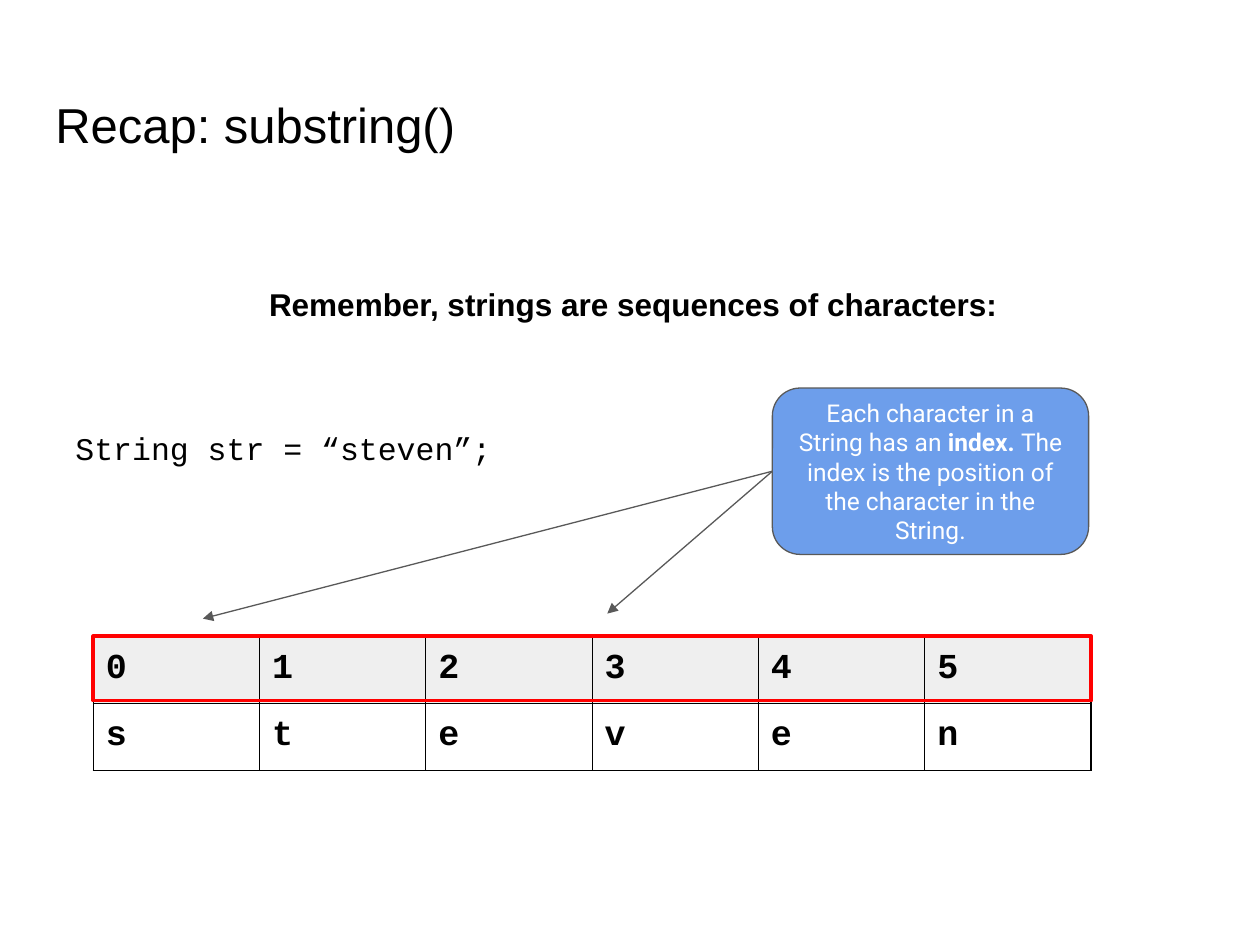
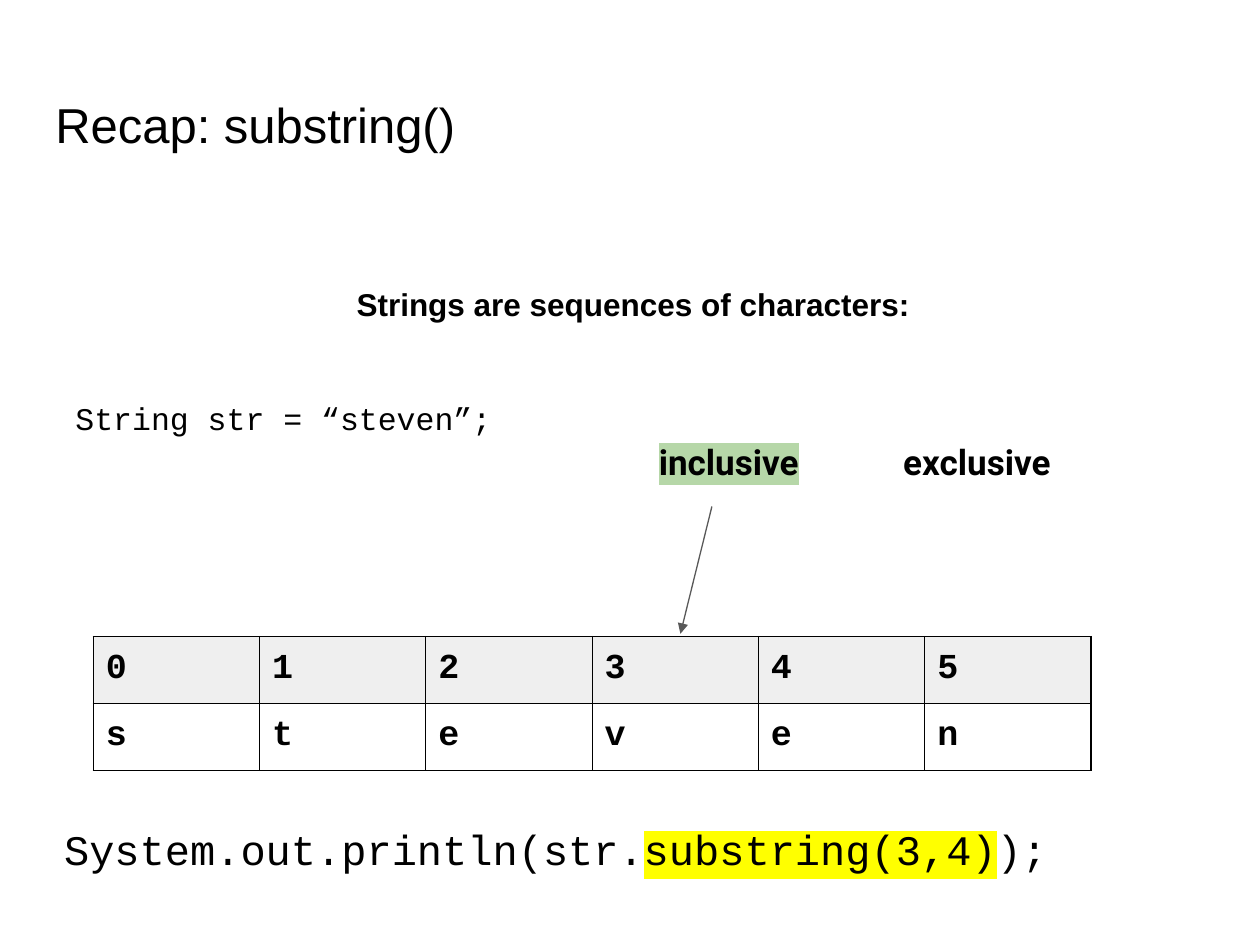
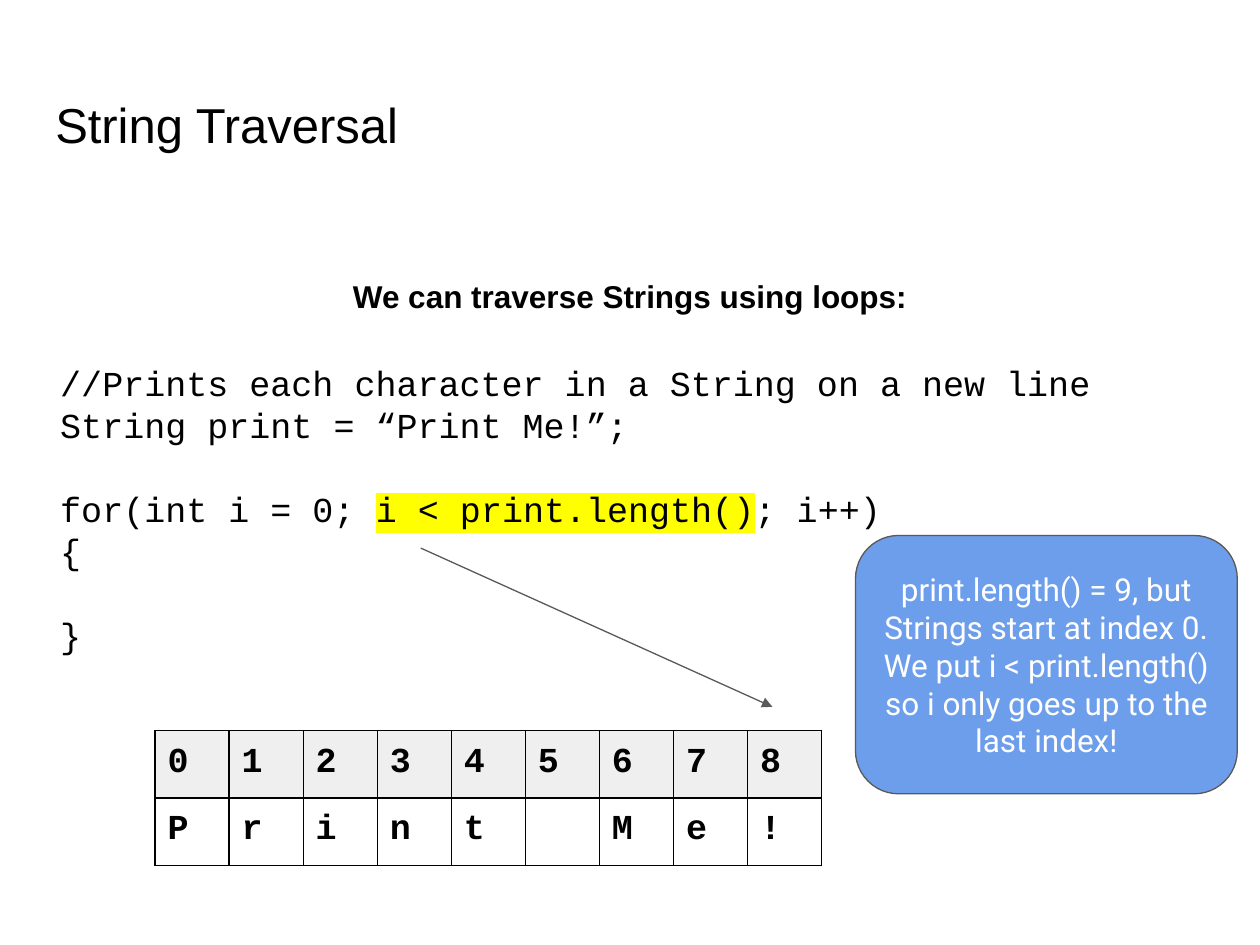
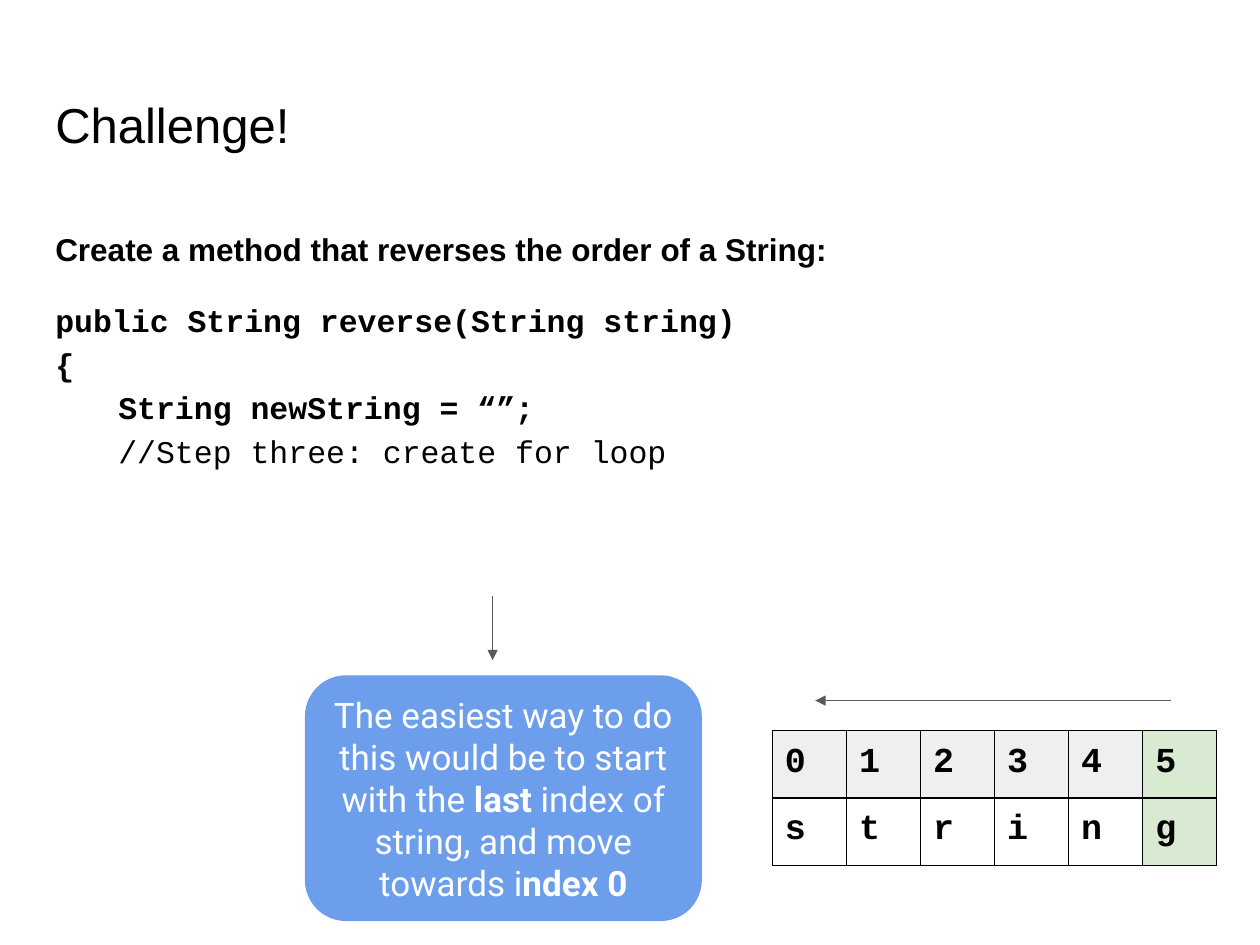
from dataclasses import dataclass
from typing import NamedTuple, Optional

from lxml.etree import SubElement
from pptx import Presentation
from pptx.dml.color import RGBColor
from pptx.enum.shapes import MSO_CONNECTOR, MSO_SHAPE
from pptx.enum.text import MSO_ANCHOR, PP_ALIGN
from pptx.oxml.ns import qn
from pptx.util import Inches, Pt

# Shared look: the page is a grid of 100 columns by 75 rows
PAGE_WIDTH, PAGE_HEIGHT = Inches(10), Inches(7.5)
COLUMN, ROW = PAGE_WIDTH / 100, PAGE_HEIGHT / 75
PADDING = Inches(0.1)
HAIRLINE = Pt(0.75)
COLORS = {
    "ink": "000000",
    "paper": "FFFFFF",
    "callout": "6D9EEB",
    "line": "595959",
    "index": "EFEFEF",
    "last": "D9EAD3",
    "frame": "FF0000",
    "yellow": "FFFF00",
    "green": "B6D7A8",
}


class Frame(NamedTuple):
    left: float
    top: float
    width: float
    height: float


class Point(NamedTuple):
    column: float
    row: float


class Style(NamedTuple):
    font: str
    size: int
    bold: bool = False
    color: str = "ink"


class Span(NamedTuple):
    text: str
    bold: Optional[bool] = None
    mark: Optional[str] = None


@dataclass(frozen=True)
class Para:
    spans: tuple[Span, ...]
    style: Style
    align: PP_ALIGN = PP_ALIGN.LEFT
    spacing: float = 1.0
    before: float = 0
    indent: float = 0


@dataclass(frozen=True)
class CharTable:
    word: str
    left: float
    top: float
    column_width: float
    row_height: float
    marked: Optional[int] = None


TITLE = Style("Arial", 28)
HEADING = Style("Arial", 18, bold=True)
CODE = Style("Courier New", 18)
BOLD_CODE = Style("Courier New", 18, bold=True)
LARGE_CODE = Style("Courier New", 20)
OUTPUT_CODE = Style("Courier New", 24)
CELL = Style("Courier New", 20, bold=True)
LABEL = Style("Roboto", 20, bold=True)

TITLE_FRAME = Frame(3.4, 6.5, 93.2, 8.3)
BODY_FRAME = Frame(5, 21.2, 90.5, 49.9)
STEVEN = CharTable("steven", 7.4, 50.5, 13.2, 4.2)


def rgb(name: str) -> RGBColor:
    return RGBColor.from_string(COLORS[name])


def place(frame: Frame) -> tuple[int, int, int, int]:
    return (round(frame.left * COLUMN), round(frame.top * ROW),
            round(frame.width * COLUMN), round(frame.height * ROW))


def line_para(text: str, style: Style, **options) -> Para:
    return Para((Span(text),), style, **options)


def heading_para(text: str, align: PP_ALIGN = PP_ALIGN.CENTER) -> Para:
    return line_para(text, HEADING, align=align, spacing=1.15)


def write(text_frame, paras: list[Para]) -> None:
    text_frame.word_wrap = True
    text_frame.margin_left = text_frame.margin_right = PADDING
    text_frame.margin_top = text_frame.margin_bottom = PADDING
    for number, para in enumerate(paras):
        paragraph = text_frame.add_paragraph() if number else text_frame.paragraphs[0]
        paragraph.alignment = para.align
        paragraph.line_spacing = para.spacing
        paragraph.space_before = Pt(para.before)
        if para.indent:
            paragraph._p.get_or_add_pPr().set("marL", str(round(para.indent * COLUMN)))
        font = paragraph.font
        font.name, font.size, font.bold = para.style.font, Pt(para.style.size), para.style.bold
        font.color.rgb = rgb(para.style.color)
        for span in para.spans:
            run = paragraph.add_run()
            run.text = span.text
            if span.bold is not None:
                run.font.bold = span.bold
            if span.mark:
                highlight = SubElement(run._r.get_or_add_rPr(), qn("a:highlight"))
                SubElement(highlight, qn("a:srgbClr"), val=COLORS[span.mark])


def add_text(page, frame: Frame, *paras: Para) -> None:
    box = page.shapes.add_textbox(*place(frame))
    write(box.text_frame, list(paras))


def add_callout(page, frame: Frame, size: int, *spans: Span, outlined: bool = True):
    callout = page.shapes.add_shape(MSO_SHAPE.ROUNDED_RECTANGLE, *place(frame))
    callout.shadow.inherit = False
    callout.fill.solid()
    callout.fill.fore_color.rgb = rgb("callout")
    if outlined:
        callout.line.color.rgb = rgb("line")
        callout.line.width = HAIRLINE
    else:
        callout.line.fill.background()
    callout.text_frame.vertical_anchor = MSO_ANCHOR.MIDDLE
    style = Style("Roboto", size, color="paper")
    write(callout.text_frame, [Para(spans, style, PP_ALIGN.CENTER)])
    return callout


def add_arrow(page, start: Point, end: Point, source=None) -> None:
    arrow = page.shapes.add_connector(
        MSO_CONNECTOR.STRAIGHT,
        round(start.column * COLUMN), round(start.row * ROW),
        round(end.column * COLUMN), round(end.row * ROW))
    if source is not None:
        arrow.begin_connect(source, 1)
    arrow.line.color.rgb = rgb("line")
    arrow.line.width = HAIRLINE
    SubElement(arrow.line._get_or_add_ln(), qn("a:tailEnd"), type="triangle")
    SubElement(arrow._element.spPr, qn("a:effectLst"))


def add_borders(cell) -> None:
    properties = cell._tc.get_or_add_tcPr()
    for side in ("lnL", "lnR", "lnT", "lnB"):
        border = SubElement(properties, qn(f"a:{side}"), w=str(HAIRLINE))
        fill = SubElement(border, qn("a:solidFill"))
        SubElement(fill, qn("a:srgbClr"), val=COLORS["ink"])


def add_char_table(page, chars: CharTable) -> None:
    """Indexes in the first row, the characters of the word in the second."""
    count = len(chars.word)
    frame = Frame(chars.left, chars.top, count * chars.column_width, 2 * chars.row_height)
    table = page.shapes.add_table(2, count, *place(frame)).table
    table.first_row = table.horz_banding = False
    for index, character in enumerate(chars.word):
        table.columns[index].width = round(chars.column_width * COLUMN)
        for row, text in enumerate((str(index), character.strip())):
            cell = table.cell(row, index)
            cell.margin_left = cell.margin_right = PADDING
            cell.margin_top = cell.margin_bottom = PADDING
            add_borders(cell)
            if index == chars.marked or row == 0:
                cell.fill.solid()
                cell.fill.fore_color.rgb = rgb("last" if index == chars.marked else "index")
            else:
                cell.fill.background()
            write(cell.text_frame, [line_para(text, CELL) if text else Para((), CELL)])


def add_page(deck, title: str):
    page = deck.slides.add_slide(deck.slide_layouts[6])
    add_text(page, TITLE_FRAME, line_para(title, TITLE))
    return page


def build_index_page(deck) -> None:
    page = add_page(deck, "Recap: substring()")
    add_text(page, BODY_FRAME,
             heading_para("Remember, strings are sequences of characters:"),
             line_para("String str = “steven”;", CODE, spacing=1.15, before=57))
    add_char_table(page, STEVEN)

    # Red frame around the index row
    index_frame = page.shapes.add_shape(
        MSO_SHAPE.RECTANGLE,
        *place(Frame(STEVEN.left, STEVEN.top, 6 * STEVEN.column_width, 5.1)))
    index_frame.shadow.inherit = False
    index_frame.fill.background()
    index_frame.line.color.rgb = rgb("frame")
    index_frame.line.width = Pt(2.25)

    # Callout pointing at two of the indexes
    callout = add_callout(
        page, Frame(61.3, 30.8, 25.1, 13.2), 14,
        Span("Each character in a String has an "),
        Span("index. ", bold=True),
        Span("The index is the position of the character in the String."))
    for target in (Point(16.1, 49.1), Point(48.2, 48.7)):
        add_arrow(page, Point(61.3, 37.4), target, callout)


def build_substring_page(deck) -> None:
    page = add_page(deck, "Recap: substring()")
    add_text(page, BODY_FRAME,
             heading_para("Strings are sequences of characters:"),
             line_para("String str = “steven”;", CODE, spacing=1.15, before=40))
    add_char_table(page, STEVEN)
    add_text(page, Frame(4.1, 63.8, 90.5, 8.3),
             Para((Span("System.out.println(str."),
                   Span("substring(3,4)", mark="yellow"),
                   Span(");")), OUTPUT_CODE, spacing=1.15))

    # Labels of the two arguments
    add_text(page, Frame(51.3, 34, 17.9, 8.3), Para((Span("inclusive", mark="green"),), LABEL))
    add_text(page, Frame(70.7, 34, 15, 8.3), line_para("exclusive", LABEL))
    add_arrow(page, Point(56.5, 40.2), Point(54, 50.3))


def build_traversal_page(deck) -> None:
    page = add_page(deck, "String Traversal")
    add_text(page, Frame(3.4, 20.5, 93.2, 7.2),
             heading_para("We can traverse Strings using loops:"))
    add_text(page, Frame(3.8, 27.7, 92.4, 42.7),
             line_para("//Prints each character in a String on a new line", LARGE_CODE),
             line_para("String print = “Print Me!”;", LARGE_CODE),
             Para((Span("for(int i = 0; "),
                   Span("i < print.length()", mark="yellow"),
                   Span("; i++)")), LARGE_CODE, before=24),
             line_para("{", LARGE_CODE),
             line_para("}", LARGE_CODE, before=24))
    add_arrow(page, Point(33.4, 43.5), Point(61.3, 56.1))
    add_char_table(page, CharTable("Print Me!", 12.3, 58, 5.88, 4.9))
    add_callout(page, Frame(67.9, 42.5, 30.3, 20.5), 18,
                Span("print.length() = 9, but Strings start at index 0. "
                     "We put i < print.length() so i only goes up to the last index!"))


def build_challenge_page(deck) -> None:
    page = add_page(deck, "Challenge!")
    add_text(page, Frame(3.4, 16.8, 93.2, 49.8),
             heading_para("Create a method that reverses the order of a String:", PP_ALIGN.LEFT),
             line_para("public String reverse(String string)", BOLD_CODE,
                       spacing=1.15, before=16),
             line_para("{", BOLD_CODE, spacing=1.15),
             line_para("String newString = “”;", BOLD_CODE, spacing=1.15, indent=5),
             line_para("//Step three: create for loop", CODE, spacing=1.15, indent=5))

    # Hint below the code
    add_arrow(page, Point(39.1, 47.3), Point(39.1, 52.4))
    add_callout(page, Frame(24.2, 53.6, 31.5, 19.5), 20,
                Span("The easiest way to do this would be to start with the "),
                Span("last ", bold=True),
                Span("index of string, and move towards i"),
                Span("ndex 0", bold=True),
                outlined=False)

    # Characters read from the last index back to the first
    add_char_table(page, CharTable("string", 61.3, 58, 5.88, 4.9, marked=5))
    add_arrow(page, Point(92.9, 55.6), Point(64.7, 55.6))


def main() -> None:
    deck = Presentation()
    deck.slide_width, deck.slide_height = PAGE_WIDTH, PAGE_HEIGHT
    build_index_page(deck)
    build_substring_page(deck)
    build_traversal_page(deck)
    build_challenge_page(deck)
    deck.save("out.pptx")


if __name__ == "__main__":
    main()
